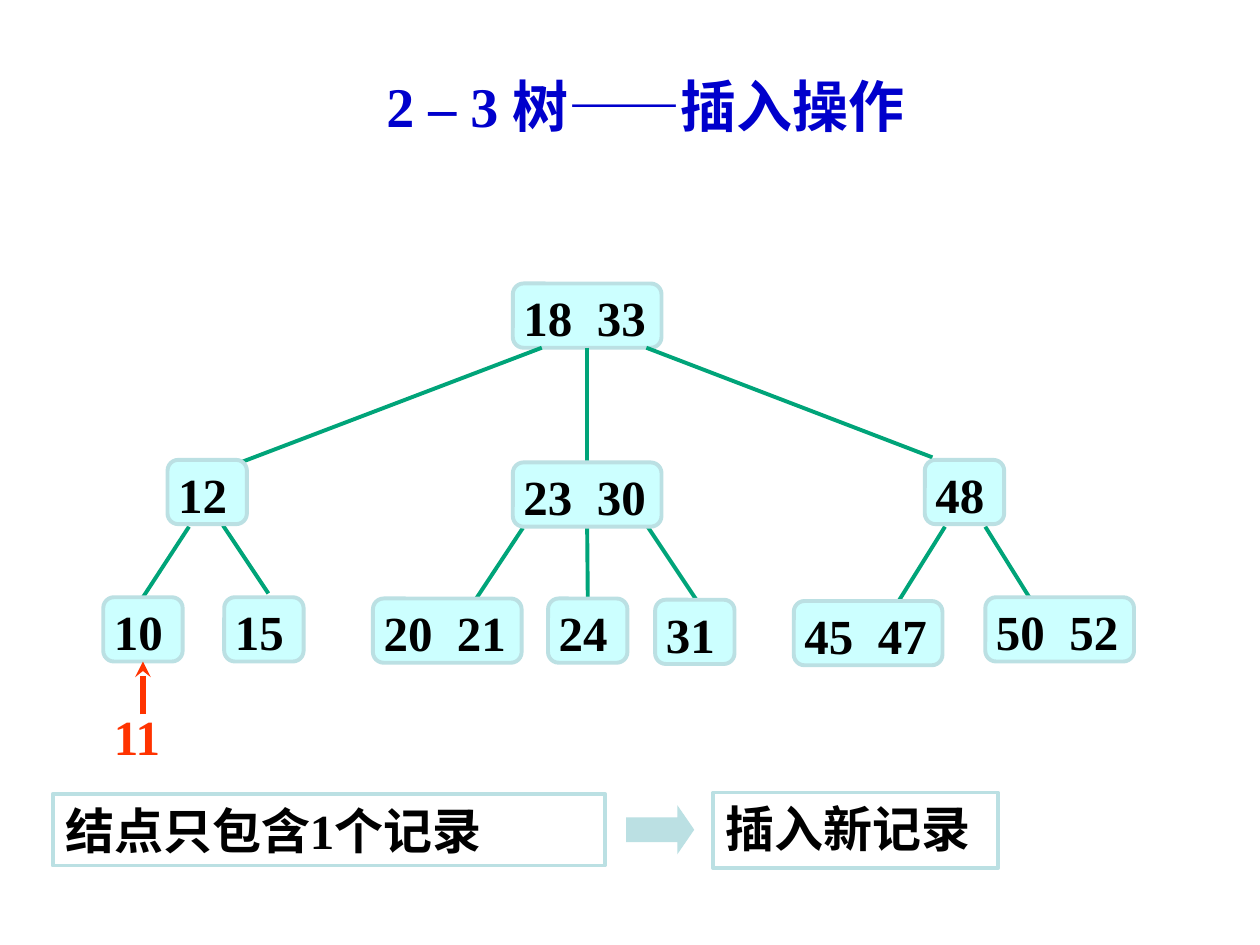
from lxml.etree import SubElement
from pptx import Presentation
from pptx.dml.color import RGBColor
from pptx.enum.shapes import MSO_CONNECTOR, MSO_SHAPE
from pptx.enum.text import MSO_ANCHOR, MSO_AUTO_SIZE, PP_ALIGN
from pptx.oxml.ns import qn
from pptx.util import Inches, Pt

COLORS = {
    "title": "0000CC", "text": "000000", "node": "CCFFFF",
    "border": "BBE0E3", "edge": "00A479", "insert": "FF3300",
}
WIDTH, HEIGHT = 10, 7.5
COLUMNS, ROWS = 100, 75
NODE_HEIGHT = 5.1
NODE_WIDTHS = {1: 6.3, 2: 11.8}  # by number of records
TOP, BOTTOM = 0, 2  # connection sites


def color(name):
    return RGBColor.from_string(COLORS[name])


class TreeSlide:
    """Draws on one slide; all lengths are grid columns and rows."""

    font = "Times New Roman"
    size = 28
    line_width = 2.25

    def __init__(self, deck):
        self.slide = deck.slides.add_slide(deck.slide_layouts[5])

    def area(self, left, top, width, height):
        column, row = WIDTH / COLUMNS, HEIGHT / ROWS
        return [Inches(left * column), Inches(top * row),
                Inches(width * column), Inches(height * row)]

    def label(self, shape, text, ink="text", size=None, font=None,
              align=PP_ALIGN.LEFT, anchor=MSO_ANCHOR.TOP):
        frame = shape.text_frame
        frame.text = text
        frame.word_wrap = True
        frame.auto_size = MSO_AUTO_SIZE.NONE
        frame.vertical_anchor = anchor
        paragraph = frame.paragraphs[0]
        paragraph.alignment = align
        for run in paragraph.runs:
            run.font.name = font or self.font
            run.font.size = Pt(size or self.size)
            run.font.bold = True
            run.font.color.rgb = color(ink)

    def title(self, text, *area):
        heading = self.slide.shapes.title
        heading.left, heading.top, heading.width, heading.height = self.area(*area)
        self.label(heading, text, "title", 32, align=PP_ALIGN.CENTER,
                   anchor=MSO_ANCHOR.MIDDLE)

    def shape(self, preset, area, fill=None, border=None):
        shape = self.slide.shapes.add_shape(preset, *self.area(*area))
        shape.shadow.inherit = False
        if fill:
            shape.fill.solid()
            shape.fill.fore_color.rgb = color(fill)
        else:
            shape.fill.background()
        if border:
            shape.line.color.rgb = color(border)
            shape.line.width = Pt(self.line_width)
        else:
            shape.line.fill.background()
        return shape

    def node(self, text, left, top, fill="node", border="border", ink="text"):
        width = NODE_WIDTHS[len(text.split())]
        node = self.shape(MSO_SHAPE.ROUNDED_RECTANGLE,
                          (left, top, width, NODE_HEIGHT), fill, border)
        frame = node.text_frame
        frame.margin_left, frame.margin_right = Inches(0.06), Inches(0.02)
        frame.margin_top = frame.margin_bottom = Inches(0.01)
        self.label(node, text, ink, align=PP_ALIGN.JUSTIFY)
        return node

    def line(self, start, end, ink="edge", width=None, head=None):
        line = self.slide.shapes.add_connector(
            MSO_CONNECTOR.STRAIGHT, *self.area(*start, *end))
        line.line.color.rgb = color(ink)
        line.line.width = Pt(width or self.line_width)
        if head:
            SubElement(line.line._get_or_add_ln(), qn("a:tailEnd"), type=head)
        SubElement(line._element.spPr, qn("a:effectLst"))
        return line

    def note(self, text, *area, **style):
        box = self.shape(MSO_SHAPE.RECTANGLE, area, border="border")
        self.label(box, text, **style)

    def arrow(self, *area):
        block = self.shape(MSO_SHAPE.RIGHT_ARROW, area, fill="border")
        block.adjustments[1] = 0.344


def main():
    deck = Presentation()
    deck.slide_width, deck.slide_height = Inches(WIDTH), Inches(HEIGHT)
    tree = TreeSlide(deck)
    tree.title("2 – 3 树——插入操作", 28.4, 5.2, 45.7, 6.3)

    # Root, then the edges that lie under the other nodes
    nodes = {"18  33": tree.node("18  33", 40.7, 22.5)}
    edges = {
        "12": ((43, 27.6), (19.1, 36.7)),
        "23  30": ((46.7, 27.6), (46.7, 36.7)),
        "48": ((51.3, 27.6), (74, 36.3)),
        "10": ((15, 41.8), (11.2, 47.6)),
        "15": ((17.7, 41.7), (21.3, 47.1)),
        "20  21": ((41.5, 41.9), (37.6, 47.8)),
        "24": ((46.7, 41.8), (46.7, 47.9)),
        "31": ((51.4, 41.8), (55.6, 48.1)),
        "45  47": ((75, 41.8), (71.2, 47.9)),
        "50  52": ((78.2, 41.8), (82, 47.9)),
    }
    branches = {child: tree.line(*ends) for child, ends in edges.items()}

    # Inner nodes and leaves
    places = {
        "12": (13.3, 36.5), "23  30": (40.7, 36.7), "48": (73.4, 36.5),
        "10": (8.2, 47.4), "15": (17.8, 47.4),
        "20  21": (29.6, 47.5), "24": (43.5, 47.5), "31": (52, 47.6),
        "45  47": (63, 47.7), "50  52": (78.2, 47.4),
    }
    for records, place in places.items():
        nodes[records] = tree.node(records, *place)

    # Middle branches run from side centre to side centre
    for parent, child in (("18  33", "23  30"), ("23  30", "24")):
        branches[child].begin_connect(nodes[parent], BOTTOM)
        branches[child].end_connect(nodes[child], TOP)
    branches["10"].end_connect(nodes["10"], TOP)

    # Rule for the insertion
    tree.note("结点只包含1个记录", 4.2, 63, 43.8, 5.7, anchor=MSO_ANCHOR.MIDDLE)
    tree.note("插入新记录", 56.6, 62.9, 22.6, 6, font="Arial")
    tree.arrow(49.7, 63.9, 5.4, 3.9)

    # Record being inserted
    tree.node("11", 8.2, 55.7, fill=None, border=None, ink="insert")
    pointer = tree.line((11.35, 56.7), (11.35, 52.7), "insert", 3, "stealth")
    pointer.end_connect(nodes["10"], BOTTOM)

    deck.save("out.pptx")


if __name__ == "__main__":
    main()
